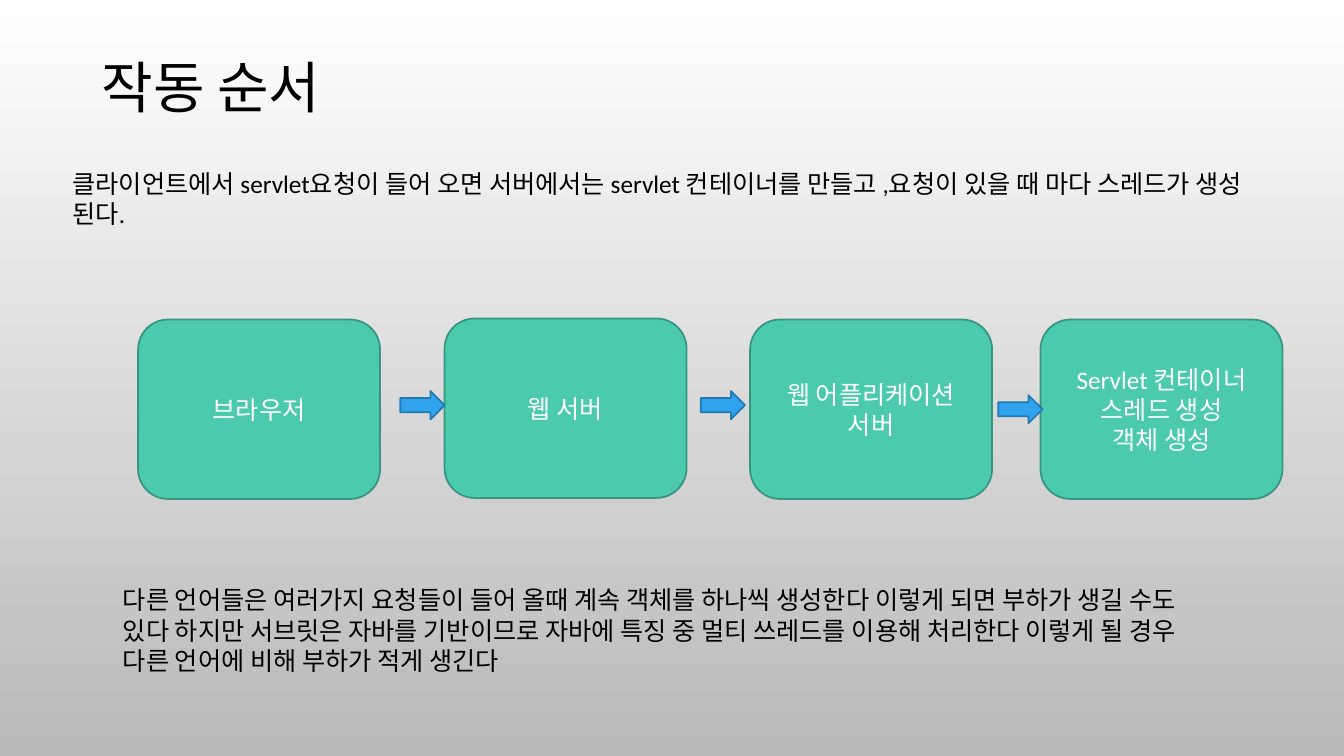
from pptx import Presentation
from pptx.dml.color import RGBColor
from pptx.enum.shapes import MSO_SHAPE
from pptx.enum.text import MSO_ANCHOR, MSO_AUTO_SIZE, PP_ALIGN
from pptx.util import Inches, Pt

ROUNDED = MSO_SHAPE.ROUNDED_RECTANGLE
ARROW = MSO_SHAPE.RIGHT_ARROW
MIDDLE = MSO_ANCHOR.MIDDLE
GROW = MSO_AUTO_SIZE.SHAPE_TO_FIT_TEXT
LEFT, CENTER = PP_ALIGN.LEFT, PP_ALIGN.CENTER


def paint(color_format, value):
    color_format.rgb = RGBColor.from_string(value)


def write(frame, text, size, color, align):
    frame.word_wrap = True
    frame.text = text
    for paragraph in frame.paragraphs:
        paragraph.alignment = align
        paragraph.font.name = "Calibri"
        paragraph.font.size = Pt(size)
        paint(paragraph.font.color, color)


prs = Presentation()
prs.slide_width, prs.slide_height = Inches(13.33), Inches(7.5)
slide = prs.slides.add_slide(prs.slide_layouts[6])

backdrop = slide.background.fill
backdrop.gradient()
backdrop.gradient_angle = 270
for stop, position, color in zip(backdrop.gradient_stops, (0, 1), ("FFFFFF", "B9B9B9")):
    stop.position = position
    paint(stop.color, color)

passages = [
    (0.91, 0.47, 11.73, 0.77, 40, "작동 순서"),
    (0.62, 1.62, 12.11, 0.71, 18,
     "클라이언트에서 servlet요청이 들어 오면 서버에서는 servlet 컨테이너를 만들고 ,"
     "요청이 있을 때 마다 스레드가 생성 된다."),
    (1.12, 5.75, 10.92, 1.01, 18,
     "다른 언어들은 여러가지 요청들이 들어 올때 계속 객체를 하나씩 생성한다 "
     "이렇게 되면 부하가 생길 수도 있다 하지만 서브릿은 자바를 기반이므로 "
     "자바에 특징 중 멀티 쓰레드를 이용해 처리한다 이렇게 될 경우 "
     "다른 언어에 비해 부하가 적게 생긴다"),
]
for left, top, width, height, size, text in passages:
    passage = slide.shapes.add_textbox(Inches(left), Inches(top), Inches(width), Inches(height))
    write(passage.text_frame, text, size, "000000", LEFT)
    passage.text_frame.auto_size = GROW

stages = [
    (1.37, 3.17, "브라우저"),
    (4.41, 3.16, "웹 서버"),
    (7.44, 3.17, "웹 어플리케이션 서버"),
    (10.32, 3.17, "Servlet 컨테이너\n스레드 생성\n객체 생성"),
]
steps = [(3.97, 3.88, ""), (6.95, 3.88, ""), (9.9, 3.92, "")]
for places, preset, width, height, fill, outline in [
    (stages, ROUNDED, 2.4, 1.78, "4BCAAD", "379580"),
    (steps, ARROW, 0.44, 0.28, "2FA3EE", "2379B0"),
]:
    for left, top, label in places:
        part = slide.shapes.add_shape(preset, Inches(left), Inches(top), Inches(width), Inches(height))
        part.shadow.inherit = False
        part.fill.solid()
        paint(part.fill.fore_color, fill)
        paint(part.line.color, outline)
        part.line.width = Pt(1.25)
        if label:
            write(part.text_frame, label, 18, "FFFFFF", CENTER)
            part.text_frame.vertical_anchor = MIDDLE

prs.save("out.pptx")
